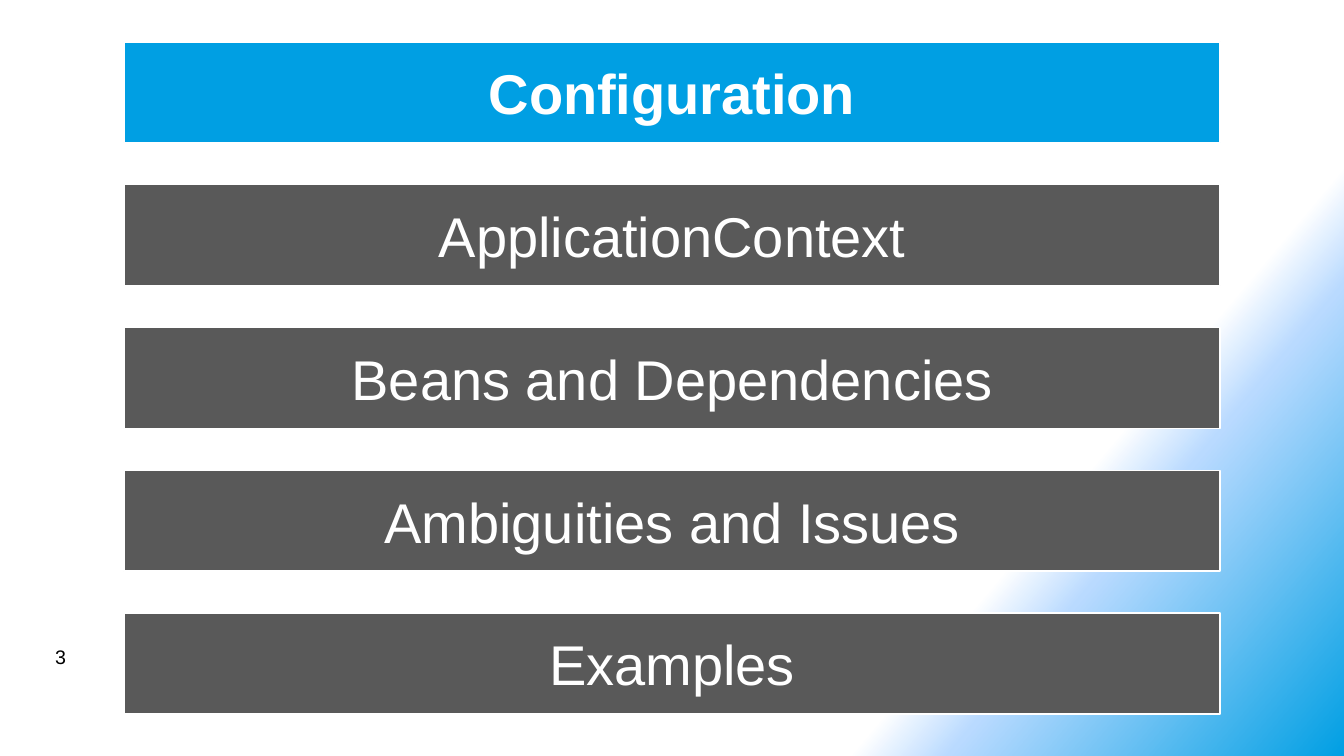
from lxml import etree
from pptx import Presentation
from pptx.dml.color import RGBColor
from pptx.enum.shapes import MSO_SHAPE
from pptx.enum.text import MSO_ANCHOR, MSO_AUTO_SIZE, PP_ALIGN
from pptx.oxml.ns import qn
from pptx.util import Pt

RECT = MSO_SHAPE.RECTANGLE
MIDDLE = MSO_ANCHOR.MIDDLE
FIXED = MSO_AUTO_SIZE.NONE
CENTER = PP_ALIGN.CENTER
WHITE = RGBColor(0xFF, 0xFF, 0xFF)
PALE = RGBColor(0xB9, 0xDA, 0xFF)
BLUE = RGBColor(0x00, 0x9F, 0xE3)
GREY = RGBColor(0x59, 0x59, 0x59)
BLACK = RGBColor(0, 0, 0)
PX = 9525
LEFT, TOP, WIDE, HIGH, STEP = 118, 40, 1044, 96, 136
TOPICS = ["Configuration", "ApplicationContext", "Beans and Dependencies",
          "Ambiguities and Issues", "Examples"]

deck = Presentation()
deck.slide_width = 1280 * PX
deck.slide_height = 720 * PX
slide = deck.slides.add_slide(deck.slide_layouts[5])

fill = slide.background.fill
fill.gradient()
grad = slide.background._cSld.find(".//" + qn("a:gradFill"))
for child in list(grad):
    grad.remove(child)
stops = etree.SubElement(grad, qn("a:gsLst"))
for place, color in [(75, WHITE), (80, PALE), (100, BLUE)]:
    stop = etree.SubElement(stops, qn("a:gs"), pos=str(place * 1000))
    etree.SubElement(stop, qn("a:srgbClr"), val=str(color))
etree.SubElement(grad, qn("a:lin"), ang=str(40 * 60000), scaled="0")

for row, topic in enumerate(TOPICS):
    box = [n * PX for n in (LEFT, TOP + row * STEP, WIDE, HIGH)]
    if row == 0:
        bar = slide.shapes.title
        bar.left, bar.top, bar.width, bar.height = box
    else:
        bar = slide.shapes.add_shape(RECT, *box)
        bar.shadow.inherit = False
    bar.fill.solid()
    bar.fill.fore_color.rgb = GREY if row else BLUE
    bar.line.color.rgb = WHITE
    bar.line.width = Pt(1)
    frame = bar.text_frame
    frame.text = topic
    frame.word_wrap = True
    frame.auto_size = FIXED
    frame.vertical_anchor = MIDDLE
    para = frame.paragraphs[0]
    para.alignment = CENTER
    para.font.name = "Arial"
    para.font.size = Pt(40)
    para.font.bold = row == 0
    para.font.color.rgb = WHITE

number = slide.shapes.add_textbox(43 * PX, 609 * PX, 299 * PX, 32 * PX)
frame = number.text_frame
frame.word_wrap = True
frame.text = "3"
para = frame.paragraphs[0]
para.font.name = "Arial"
para.font.size = Pt(14)
para.font.color.rgb = BLACK

deck.save("out.pptx")
